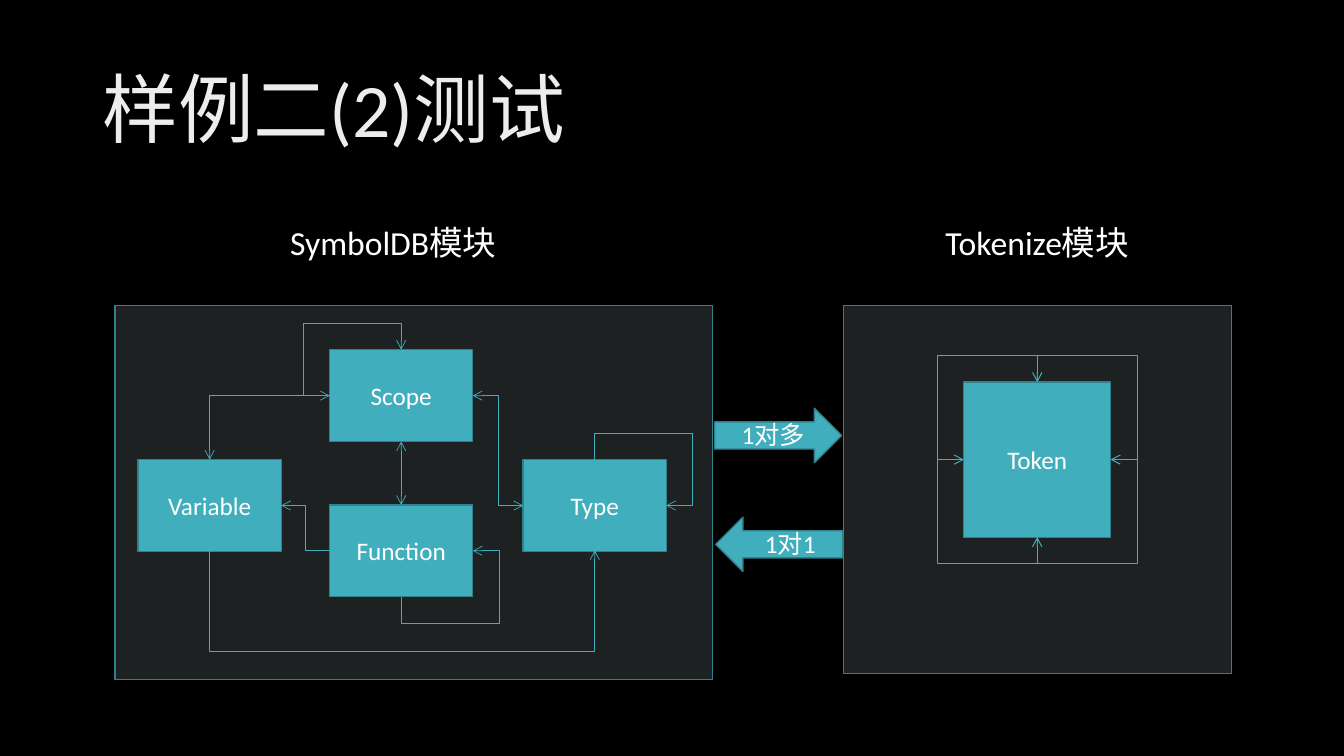
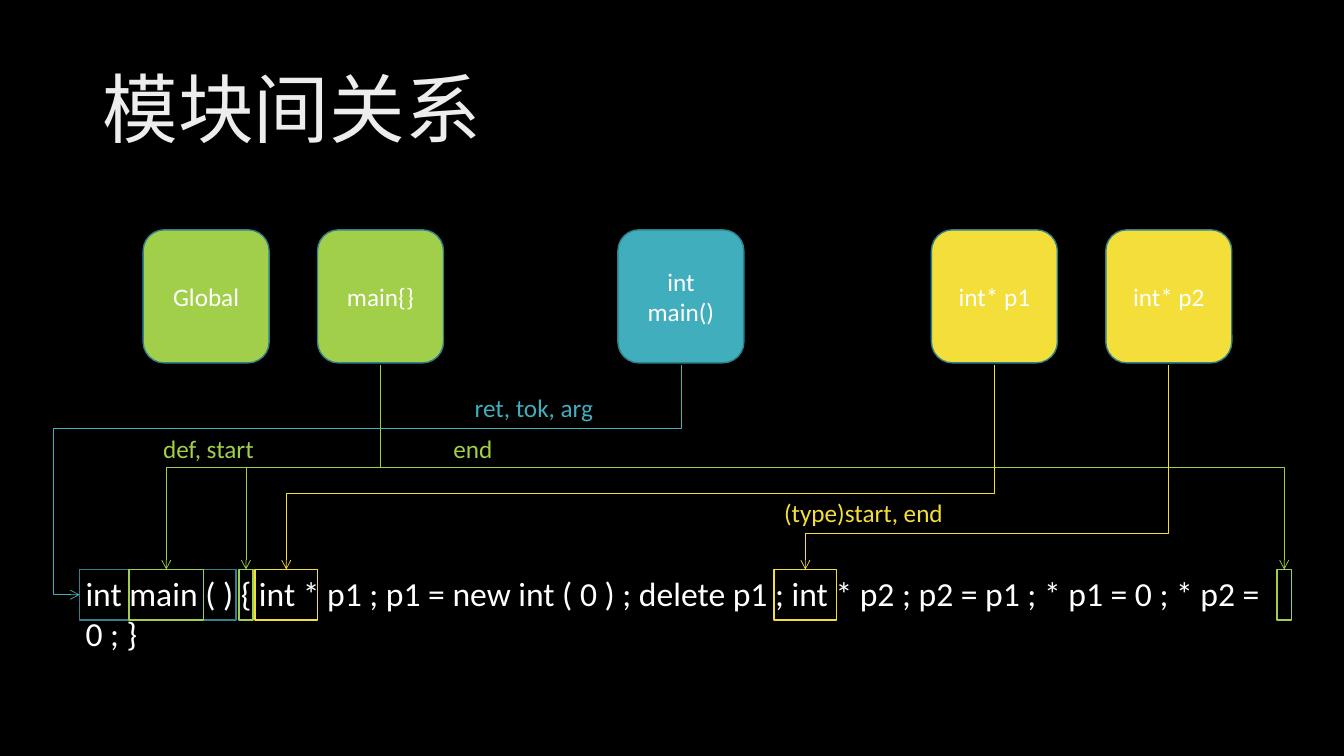
from lxml.etree import SubElement
from pptx import Presentation
from pptx.dml.color import RGBColor
from pptx.enum.shapes import MSO_CONNECTOR, MSO_SHAPE as SHAPE
from pptx.enum.text import MSO_ANCHOR as ANCHOR, PP_ALIGN as ALIGN
from pptx.oxml.ns import qn
from pptx.util import Inches, Pt

COLORS = {name: RGBColor.from_string(value) for name, value in {
    "black": "000000", "white": "FFFFFF", "title": "EDEDED", "panel": "D9EFF2",
    "teal": "41AEBD", "edge": "30818C", "green": "A2CF49", "yellow": "F4DE3A"}.items()}
TITLE_BOX = (0.92, 0.4, 11.5, 1.45)


def add_block(page, box, text="", kind=None, fill=None, edge="edge", size=18, color="white"):
    """Add a shape with centred text, or a text box when no kind is given."""
    lengths = [Inches(value) for value in box]
    if kind is None:
        block = page.shapes.add_textbox(*lengths)
    else:
        block = page.shapes.add_shape(kind, *lengths)
        block.shadow.inherit = False
        block.line.color.rgb, block.line.width = COLORS[edge], Pt(1)
        if fill:
            block.fill.solid()
            block.fill.fore_color.rgb = COLORS[fill]
        else:
            block.fill.background()
    if text:
        frame = block.text_frame
        frame.word_wrap = True
        frame.vertical_anchor = ANCHOR.MIDDLE if kind else ANCHOR.TOP
        para = frame.paragraphs[0]
        para.alignment = ALIGN.CENTER if kind else ALIGN.LEFT
        span = para.add_run()
        span.text = text
        for key, value in {"name": "Calibri", "size": Pt(size)}.items():
            setattr(span.font, key, value)
        span.font.color.rgb = COLORS[color]
    return block


def add_route(page, start, end, axis, stops=(), color="teal", both=False):
    """Add an elbow arrow leaving along axis (0 = x, 1 = y) and turning at each stop."""
    delta = [end[0] - start[0], end[1] - start[1]]
    middle = [(start[0] + end[0]) / 2, (start[1] + end[1]) / 2]
    # A vertical start is a horizontal one turned by 90 degrees about its middle
    across, down = (delta[1], -delta[0]) if axis else delta
    corners = (middle[0] - across / 2, middle[1] - down / 2,
               middle[0] + across / 2, middle[1] + down / 2)
    route = page.shapes.add_connector(MSO_CONNECTOR.ELBOW, *[Inches(c) for c in corners])
    route.line.color.rgb, route.line.width = COLORS[color], Pt(0.5)
    properties = route._element.spPr
    if axis:
        properties.find(qn("a:xfrm")).set("rot", "5400000")
    outline = properties.find(qn("a:prstGeom"))
    outline.set("prst", f"bentConnector{len(stops) + 2}")
    guides = outline.find(qn("a:avLst"))
    for index, stop in enumerate(stops):
        side = (axis + index) % 2
        share = round((stop - start[side]) / delta[side] * 100000)
        SubElement(guides, qn("a:gd"), name=f"adj{index + 1}" if len(stops) > 1 else "adj1",
                   fmla=f"val {share}")
    line = properties.find(qn("a:ln"))
    for tag in ("a:headEnd", "a:tailEnd") if both else ("a:tailEnd",):
        SubElement(line, qn(tag), type="arrow")
    SubElement(properties, qn("a:effectLst"))


deck = Presentation()
deck.slide_width, deck.slide_height = Inches(13.333), Inches(7.5)
background = deck.slide_master.background.fill
background.solid()
background.fore_color.rgb = COLORS["black"]

pages = []
for heading in ("样例二(2)测试", "模块间关系"):
    page = deck.slides.add_slide(deck.slide_layouts[6])
    title = add_block(page, TITLE_BOX, heading, size=54, color="title")
    title.text_frame.vertical_anchor = ANCHOR.MIDDLE
    title.text_frame.paragraphs[0].line_spacing = 0.9
    pages.append(page)
modules, relations = pages

# Modules: two panels with their nodes
for left, name in ((9.28, "Tokenize模块"), (2.78, "SymbolDB模块")):
    add_block(modules, (left, 2.15, 2.42, 0.51), name, size=24)
for box in ((1.14, 3.03, 5.93, 3.71), (8.37, 3.03, 3.85, 3.65)):
    panel = add_block(modules, box, kind=SHAPE.RECTANGLE, fill="panel")
    tint = panel._element.spPr.find(qn("a:solidFill")).find(qn("a:srgbClr"))
    SubElement(tint, qn("a:alpha"), val="14000")

NODE = (1.42, 0.91)
ports = {}
for name, left, top, (width, height) in (
        ("Scope", 3.27, 3.47, NODE), ("Variable", 1.37, 4.56, NODE),
        ("Function", 3.27, 5.01, NODE), ("Type", 5.19, 4.56, NODE),
        ("Token", 9.56, 3.79, (1.46, 1.54))):
    add_block(modules, (left, top, width, height), name, SHAPE.RECTANGLE, "teal")
    center, middle = left + width / 2, top + height / 2
    ports |= {(name, "left"): (left, middle), (name, "right"): (left + width, middle),
              (name, "top"): (center, top), (name, "bottom"): (center, top + height)}

for start, end, axis, stops, both in (
        (("Scope", "left"), ("Scope", "top"), 0, (3.01, 3.21), False),
        (("Scope", "bottom"), ("Function", "top"), 1, (4.7,), True),
        (("Function", "left"), ("Variable", "right"), 0, (3.03,), False),
        (("Function", "bottom"), ("Function", "right"), 1, (6.18, 4.95), False),
        (("Type", "top"), ("Type", "right"), 1, (4.3, 6.87), False),
        (("Scope", "right"), ("Type", "left"), 0, (4.94,), True),
        (("Variable", "top"), ("Scope", "left"), 1, (), True),
        (("Token", "top"), ("Token", "right"), 1, (3.53, 11.28), True),
        (("Token", "bottom"), ("Token", "right"), 1, (5.59, 11.28), True),
        (("Token", "top"), ("Token", "left"), 1, (3.53, 9.3), True),
        (("Token", "left"), ("Token", "bottom"), 0, (9.3, 5.59), True)):
    add_route(modules, ports[start], ports[end], axis, stops, both=both)
# The ends are level, so one is raised slightly to give the elbow a height
type_x, type_y = ports["Type", "bottom"]
add_route(modules, ports["Variable", "bottom"], (type_x, type_y - 0.01), 1, (6.48,))

for left, top, turn, label_left, label_width, label in (
        (7.09, 4.05, 0, 7.26, 1.02, "1对多"), (7.1, 5.13, 180, 7.49, 0.87, "1对1")):
    arrow = add_block(modules, (left, top, 1.26, 0.54), kind=SHAPE.RIGHT_ARROW, fill="teal")
    arrow.rotation = turn
    add_block(modules, (label_left, top + 0.06, label_width, 0.41), label)

# Relations: symbols above, code below
CARD_TOP, CARD_WIDTH, CARD_HEIGHT = 2.28, 1.25, 1.32
feet = {}
for name, left, fill in (("Global", 1.42, "green"), ("main{}", 3.15, "green"),
                         ("int main()", 6.13, "teal"), ("int* p1", 9.24, "yellow"),
                         ("int* p2", 10.97, "yellow")):
    add_block(relations, (left, CARD_TOP, CARD_WIDTH, CARD_HEIGHT), name,
              SHAPE.ROUNDED_RECTANGLE, fill)
    feet[name] = (left + CARD_WIDTH / 2, CARD_TOP + CARD_HEIGHT + 0.02)

add_block(relations, (0.75, 5.63, 12.35, 0.5),
          "int main ( ) { int * p1 ; p1 = new int ( 0 ) ; delete p1 ; int * p2 ; "
          "p2 = p1 ; * p1 = 0 ; * p2 = 0 ; }", size=24)

MARK_TOP, MARK_HEIGHT = 5.65, 0.5
for left, width, color, owner, turn in (
        (0.79, 1.55, "edge", None, None), (2.37, 0.14, "green", "main{}", 4.64),
        (12.67, 0.14, "green", "main{}", 4.64), (1.28, 0.74, "green", "main{}", 4.64),
        (2.53, 0.62, "yellow", "int* p1", 4.89), (7.68, 0.62, "yellow", "int* p2", 5.29)):
    add_block(relations, (left, MARK_TOP, width, MARK_HEIGHT), kind=SHAPE.RECTANGLE, edge=color)
    if owner:
        add_route(relations, feet[owner], (left + width / 2, MARK_TOP), 1, (turn,), color)
add_route(relations, feet["int main()"], (0.79, MARK_TOP + MARK_HEIGHT / 2), 1, (4.25, 0.53))

for left, top, width, label, color in (
        (4.61, 3.84, 1.72, "ret, tok, arg", "teal"), (1.52, 4.25, 1.17, "def, start", "green"),
        (4.4, 4.25, 0.72, "end", "green"), (7.68, 4.88, 1.83, "(type)start, end", "yellow")):
    add_block(relations, (left, top, width, 0.4), label, color=color)

deck.save("out.pptx")
